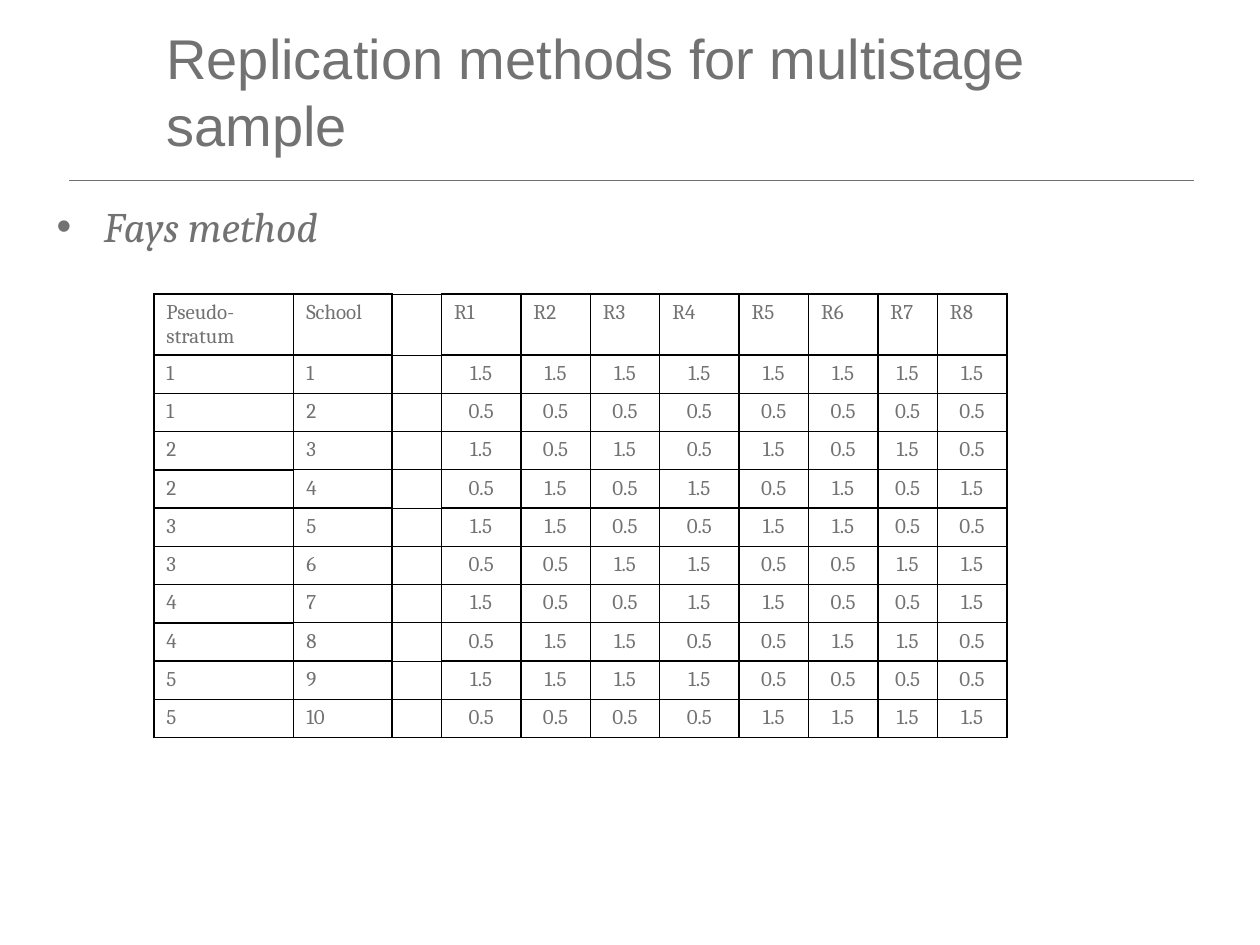
from lxml import etree
from pptx import Presentation
from pptx import util as u
from pptx.dml.color import RGBColor
from pptx.enum import shapes, text
from pptx.oxml.ns import qn

COLORS = {"text": "727272", "border": "000000"}
THICK, THIN = 1, 0.75


def format_paragraph(paragraph, font_name, size, italic=False):
    for run in paragraph.runs:
        run.font.name = font_name
        run.font.size = u.Pt(size)
        run.font.italic = italic
        run.font.color.rgb = RGBColor.from_string(COLORS["text"])


def set_hanging_indent(paragraph, length):
    properties = paragraph._p.get_or_add_pPr()
    properties.set("marL", str(length))
    properties.set("indent", str(-length))
    return properties


presentation = Presentation()
presentation.slide_width = u.Cm(25.4)
presentation.slide_height = u.Cm(19.05)
slide = presentation.slides.add_slide(presentation.slide_layouts[1])

rule = slide.shapes.add_connector(
    shapes.MSO_CONNECTOR.STRAIGHT, u.Cm(1.4), u.Cm(3.64), u.Cm(24.06), u.Cm(3.64))
rule.line.color.rgb = RGBColor.from_string(COLORS["text"])
rule.line.width = u.Pt(0.5)
etree.SubElement(rule._element.spPr, qn("a:effectLst"))

title = slide.shapes.title
title.left, title.top, title.width, title.height = u.Cm(3.1), u.Cm(0.81), u.Cm(21.79), u.Cm(2.03)
title.text_frame.text = "Replication methods for multistage sample"
title.text_frame.auto_size = text.MSO_AUTO_SIZE.NONE
title.text_frame.vertical_anchor = text.MSO_ANCHOR.MIDDLE
paragraph = title.text_frame.paragraphs[0]
paragraph.alignment = text.PP_ALIGN.LEFT
format_paragraph(paragraph, "Arial", 32)

body = slide.placeholders[1]
body.left, body.top, body.width, body.height = u.Cm(0.89), u.Cm(3.92), u.Cm(15.19), u.Cm(1.3)
body.text_frame.text = "Fays method"
body.text_frame.auto_size = text.MSO_AUTO_SIZE.NONE
paragraph = body.text_frame.paragraphs[0]
paragraph.space_before = u.Pt(7.6)
format_paragraph(paragraph, "Cambria", 24, italic=True)
properties = set_hanging_indent(paragraph, u.Cm(0.95))
bullet_color = etree.SubElement(properties, qn("a:buClr"))
etree.SubElement(bullet_color, qn("a:srgbClr"), val=COLORS["text"])
etree.SubElement(properties, qn("a:buFont"), typeface="Arial")
etree.SubElement(properties, qn("a:buChar"), char="•")

rows = [["Pseudo-\nstratum", "School", ""] + [f"R{number}" for number in range(1, 9)]]
for school in range(10):
    stratum, second = divmod(school, 2)
    weights = []
    for replicate in range(8):
        parity = (bin(stratum & replicate).count("1") + second) % 2
        weights.append("0.5" if parity else "1.5")
    rows.append([str(stratum + 1), str(school + 1), ""] + weights)

column_widths = [2.82, 1.98, 1, 1.6, 1.4, 1.4, 1.6, 1.4, 1.4, 1.2, 1.4]
row_heights = [1.23] + [0.74] * 10
table = slide.shapes.add_table(
    len(rows), len(column_widths), u.Cm(3.1), u.Cm(5.93),
    u.Cm(sum(column_widths)), u.Cm(sum(row_heights))).table
table.first_row = False
table.horz_banding = False
for column, width in zip(table.columns, column_widths):
    column.width = u.Cm(width)
for row, height in zip(table.rows, row_heights):
    row.height = u.Cm(height)

for row_index, values in enumerate(rows):
    for column_index, value in enumerate(values):
        cell = table.cell(row_index, column_index)
        cell.text_frame.text = value
        centered = row_index > 0 and column_index > 2
        for paragraph in cell.text_frame.paragraphs:
            paragraph.alignment = text.PP_ALIGN.CENTER if centered else text.PP_ALIGN.JUSTIFY
            set_hanging_indent(paragraph, u.Cm(0.97))
            format_paragraph(paragraph, "Cambria", 12)
            if not value:
                etree.SubElement(paragraph._p, qn("a:endParaRPr"), sz="1200")

        if column_index == 2:
            top, bottom = THIN, THIN
        elif row_index == 0 or column_index == 0:
            top, bottom = THICK, THICK
        else:
            top, bottom = (THICK, THIN) if row_index % 2 else (THIN, THICK)
        cell_properties = cell._tc.get_or_add_tcPr()
        for side, width in (("L", THICK), ("R", THICK), ("T", top), ("B", bottom)):
            border = etree.SubElement(cell_properties, qn(f"a:ln{side}"), w=str(u.Pt(width)))
            fill = etree.SubElement(border, qn("a:solidFill"))
            etree.SubElement(fill, qn("a:srgbClr"), val=COLORS["border"])
        cell.fill.background()

presentation.save("out.pptx")
